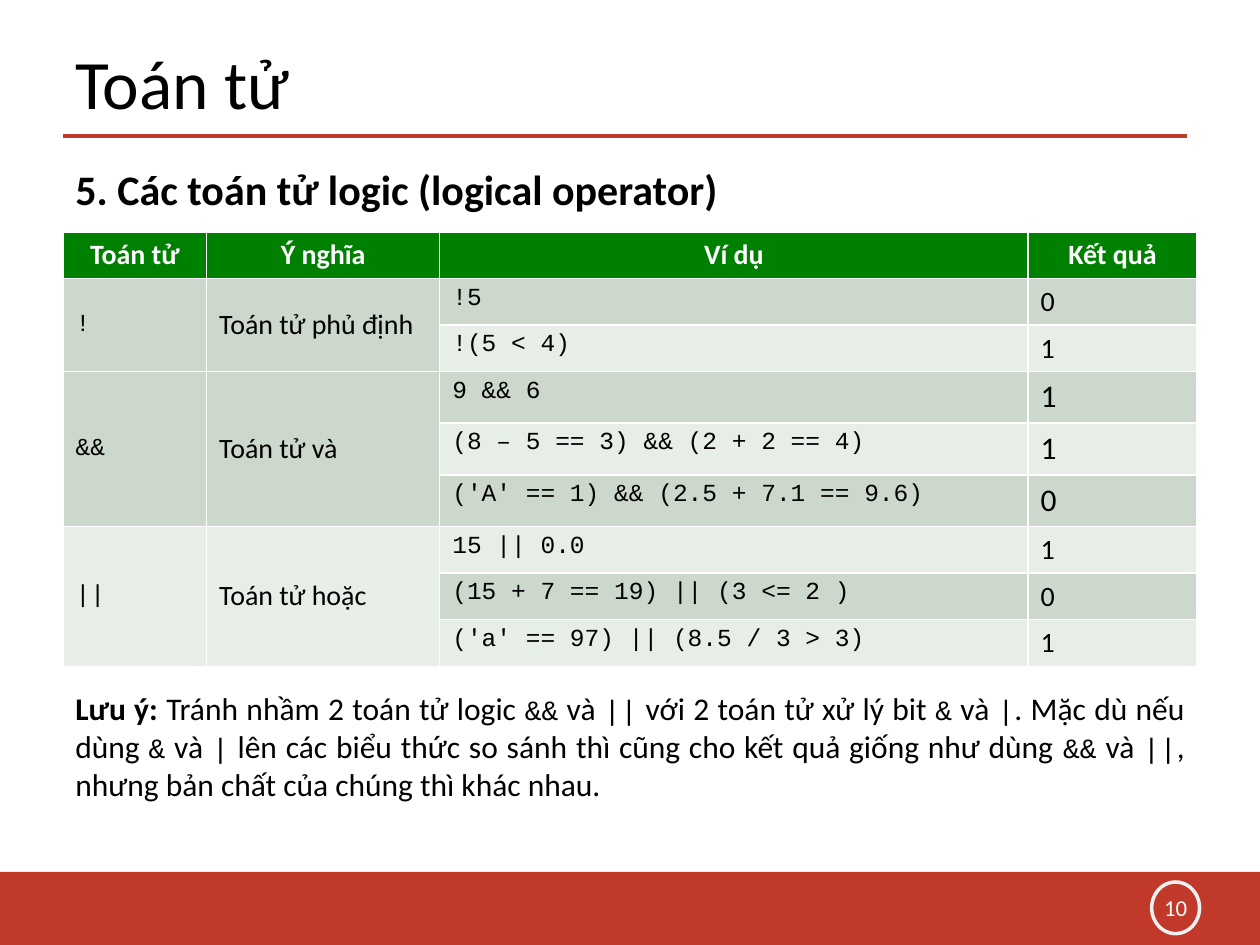
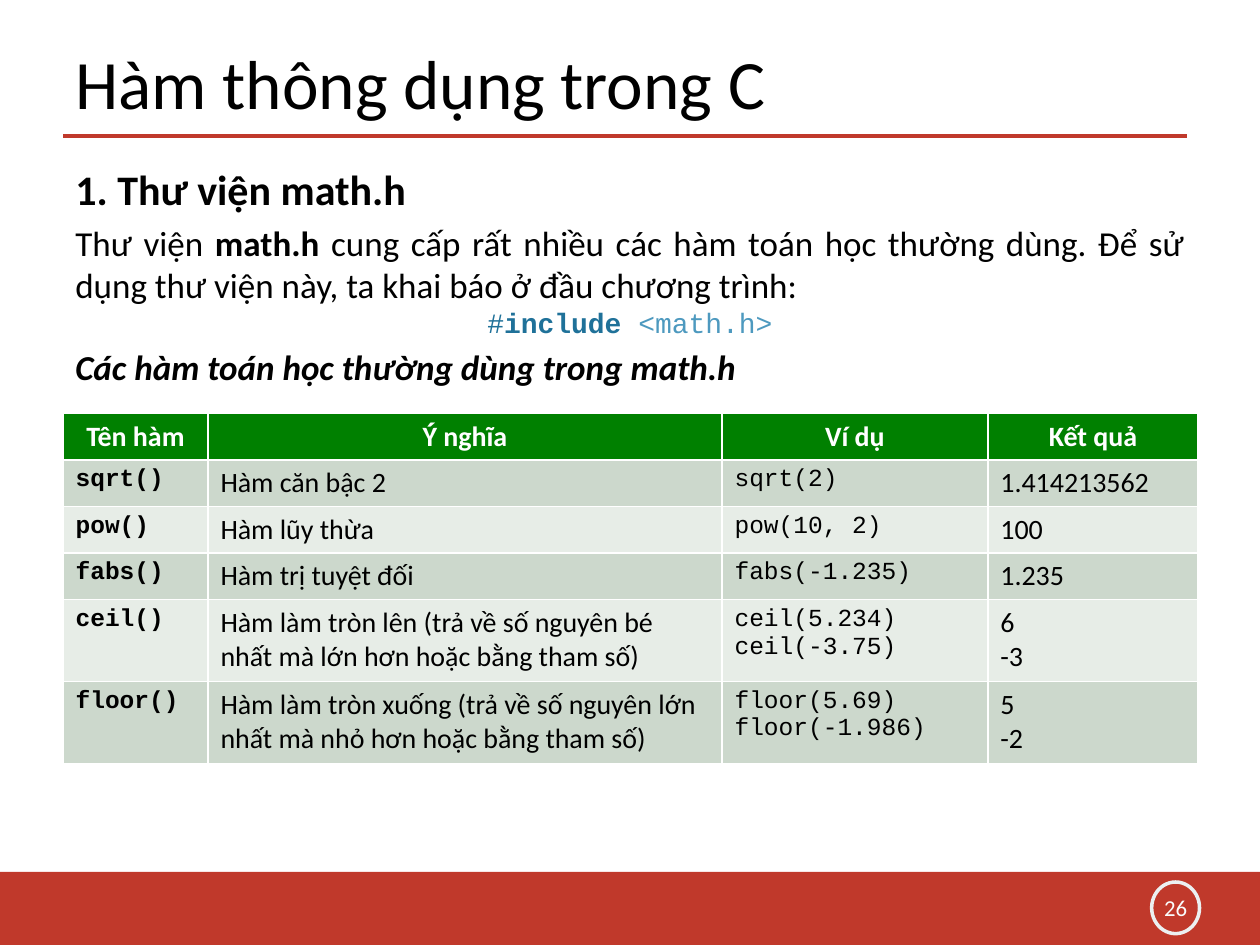
import pptx
import pptx.util
import pptx.dml.color
import pptx.enum.shapes
import pptx.enum.text
import pptx.oxml.ns
import lxml.etree

Inches = pptx.util.Inches
Pt = pptx.util.Pt
RGBColor = pptx.dml.color.RGBColor
ALIGN = pptx.enum.text.PP_ALIGN
MIDDLE = pptx.enum.text.MSO_ANCHOR.MIDDLE
SHAPE = pptx.enum.shapes.MSO_SHAPE

RED = RGBColor(0xC0, 0x39, 0x2B)
RING = RGBColor(0xEC, 0xF0, 0xF1)
NUMBER = RGBColor(0xFA, 0xFC, 0xFC)
BLACK = RGBColor(0, 0, 0)
WHITE = RGBColor(0xFF, 0xFF, 0xFF)
GREEN = RGBColor(0, 0x80, 0)
BAND_DARK = RGBColor(0xCC, 0xD8, 0xCC)
BAND_LIGHT = RGBColor(0xE7, 0xED, 0xE7)
CODE_DARK = RGBColor(0x1F, 0x71, 0x99)
CODE_LIGHT = RGBColor(0x4D, 0x99, 0xBF)
SANS = "Calibri"
MONO = "Courier New"


def style(font, size, color=BLACK, name=SANS, bold=False):
    font.size = Pt(size)
    font.color.rgb = color
    font.name = name
    font.bold = bold


def add_text_box(s, x, y, w, h):
    tf = s.shapes.add_textbox(Inches(x), Inches(y), Inches(w), Inches(h)).text_frame
    tf.word_wrap = True
    return tf


PAGES = [
    {
        "title": "Toán tử",
        "number": "10",
        "heading": "5. Các toán tử logic (logical operator)",
        "body_height": 0.59,
        "top": 1.84,
        "widths": [1.14, 1.85, 4.67, 1.34],
        "heights": [0.37] * 3 + [0.41] * 3 + [0.37] * 3,
        "spans": [(1, 2), (3, 5), (6, 8)],
        "result_sizes": {3: 18, 4: 18, 5: 18},
        "bold_names": False,
        "rows": [
            ["Toán tử", "Ý nghĩa", "Ví dụ", "Kết quả"],
            ["!", "Toán tử phủ định", "!5", "0"],
            ["", "", "!(5 < 4)", "1"],
            ["&&", "Toán tử và", "9 && 6", "1"],
            ["", "", "(8 – 5 == 3) && (2 + 2 == 4)", "1"],
            ["", "", "('A' == 1) && (2.5 + 7.1 == 9.6)", "0"],
            ["||", "Toán tử hoặc", "15 || 0.0", "1"],
            ["", "", "(15 + 7 == 19) || (3 <= 2 )", "0"],
            ["", "", "('a' == 97) || (8.5 / 3 > 3)", "1"],
        ],
    },
    {
        "title": "Hàm thông dụng trong C",
        "number": "26",
        "heading": "1. Thư viện math.h",
        "body_height": 2.03,
        "top": 3.28,
        "widths": [1.15, 4.08, 2.11, 1.67],
        "heights": [0.37] * 4 + [0.65] * 2,
        "spans": [],
        "result_sizes": {},
        "bold_names": True,
        "rows": [
            ["Tên hàm", "Ý nghĩa", "Ví dụ", "Kết quả"],
            ["sqrt()", "Hàm căn bậc 2", "sqrt(2)", "1.414213562"],
            ["pow()", "Hàm lũy thừa", "pow(10, 2)", "100"],
            ["fabs()", "Hàm trị tuyệt đối", "fabs(-1.235)", "1.235"],
            ["ceil()", "Hàm làm tròn lên (trả về số nguyên bé nhất mà lớn hơn hoặc bằng tham số)",
             "ceil(5.234)\nceil(-3.75)", "6\n-3"],
            ["floor()", "Hàm làm tròn xuống (trả về số nguyên lớn nhất mà nhỏ hơn hoặc bằng tham số)",
             "floor(5.69)\nfloor(-1.986)", "5\n-2"],
        ],
    },
]

prs = pptx.Presentation()
prs.slide_width = Inches(10)
prs.slide_height = Inches(7.5)
bodies = []

for page in PAGES:
    s = prs.slides.add_slide(prs.slide_layouts[6])

    rule = s.shapes.add_connector(pptx.enum.shapes.MSO_CONNECTOR.STRAIGHT,
                                  Inches(0.5), Inches(1.08), Inches(9.42), Inches(1.08))
    rule.line.color.rgb = RED
    rule.line.width = Pt(2.25)
    lxml.etree.SubElement(rule._element.spPr, pptx.oxml.ns.qn("a:effectLst"))

    band = s.shapes.add_shape(SHAPE.RECTANGLE, 0, Inches(6.92), Inches(10), Inches(0.58))
    band.shadow.inherit = False
    band.fill.solid()
    band.fill.fore_color.rgb = RED
    band.line.fill.background()

    ring = s.shapes.add_shape(SHAPE.OVAL, Inches(9.14), Inches(7), Inches(0.38), Inches(0.41))
    ring.shadow.inherit = False
    ring.fill.background()
    ring.line.color.rgb = RING
    ring.line.width = Pt(2)

    tf = add_text_box(s, 9.08, 7.04, 0.5, 0.32)
    tf.vertical_anchor = MIDDLE
    p = tf.paragraphs[0]
    p.text = page["number"]
    p.alignment = ALIGN.CENTER
    style(p.font, 13, NUMBER)

    tf = add_text_box(s, 0.5, 0.3, 8, 0.69)
    tf.vertical_anchor = MIDDLE
    p = tf.paragraphs[0]
    p.text = page["title"]
    style(p.font, 39.6)

    body = add_text_box(s, 0.5, 1.25, 9, page["body_height"])
    p = body.paragraphs[0]
    p.text = page["heading"]
    p.alignment = ALIGN.JUSTIFY
    style(p.font, 24, bold=True)
    bodies.append(body)

    rows = page["rows"]
    table = s.shapes.add_table(len(rows), 4, Inches(0.5), Inches(page["top"]),
                               Inches(9), Inches(sum(page["heights"]))).table
    for column, width in zip(table.columns, page["widths"]):
        column.width = Inches(width)
    for row, height in zip(table.rows, page["heights"]):
        row.height = Inches(height)
    for i, row in enumerate(rows):
        for j, text in enumerate(row):
            cell = table.cell(i, j)
            cell.text = text
            cell.fill.solid()
            cell.fill.fore_color.rgb = GREEN if i == 0 else BAND_DARK if i % 2 else BAND_LIGHT
            for p in cell.text_frame.paragraphs:
                if i == 0:
                    p.alignment = ALIGN.CENTER
                    style(p.font, 16, WHITE, bold=True)
                elif j in (0, 2):
                    style(p.font, 14, name=MONO, bold=j == 0 and page["bold_names"])
                else:
                    style(p.font, page["result_sizes"].get(i, 16) if j == 3 else 16)
    for first, last in page["spans"]:
        for j in range(2):
            table.cell(first, j).merge(table.cell(last, j))
            table.cell(first, j).vertical_anchor = MIDDLE

NOTE = ("Tránh nhầm 2 toán tử logic `&&` và `||` với 2 toán tử xử lý bit `&` và `|`. "
        "Mặc dù nếu dùng `&` và `|` lên các biểu thức so sánh thì cũng cho kết quả giống "
        "như dùng `&&` và `||`, nhưng bản chất của chúng thì khác nhau.")
p = add_text_box(prs.slides[0], 0.5, 5.42, 9, 1.01).paragraphs[0]
p.alignment = ALIGN.JUSTIFY
r = p.add_run()
r.text = "Lưu ý: "
style(r.font, 18, bold=True)
for i, text in enumerate(NOTE.split("`")):
    r = p.add_run()
    r.text = text
    if i % 2:
        style(r.font, 16, name=MONO)
    else:
        style(r.font, 18)

body = bodies[1]
p = body.add_paragraph()
p.alignment = ALIGN.JUSTIFY
p.space_before = Pt(4)
for text, bold in [
    ("Thư viện ", False),
    ("math.h", True),
    (" cung cấp rất nhiều các hàm toán học thường dùng. Để sử dụng thư viện này, "
     "ta khai báo ở đầu chương trình:", False),
]:
    r = p.add_run()
    r.text = text
    style(r.font, 20, bold=bold)

p = body.add_paragraph()
p.alignment = ALIGN.CENTER
for text, color, bold in [("#", CODE_DARK, False), ("include ", CODE_DARK, True),
                          ("<math.h>", CODE_LIGHT, False)]:
    r = p.add_run()
    r.text = text
    style(r.font, 16, color, MONO, bold)

p = body.add_paragraph()
p.text = "Các hàm toán học thường dùng trong math.h"
p.alignment = ALIGN.JUSTIFY
p.space_before = Pt(4)
style(p.font, 20, bold=True)
p.font.italic = True

prs.save("out.pptx")
